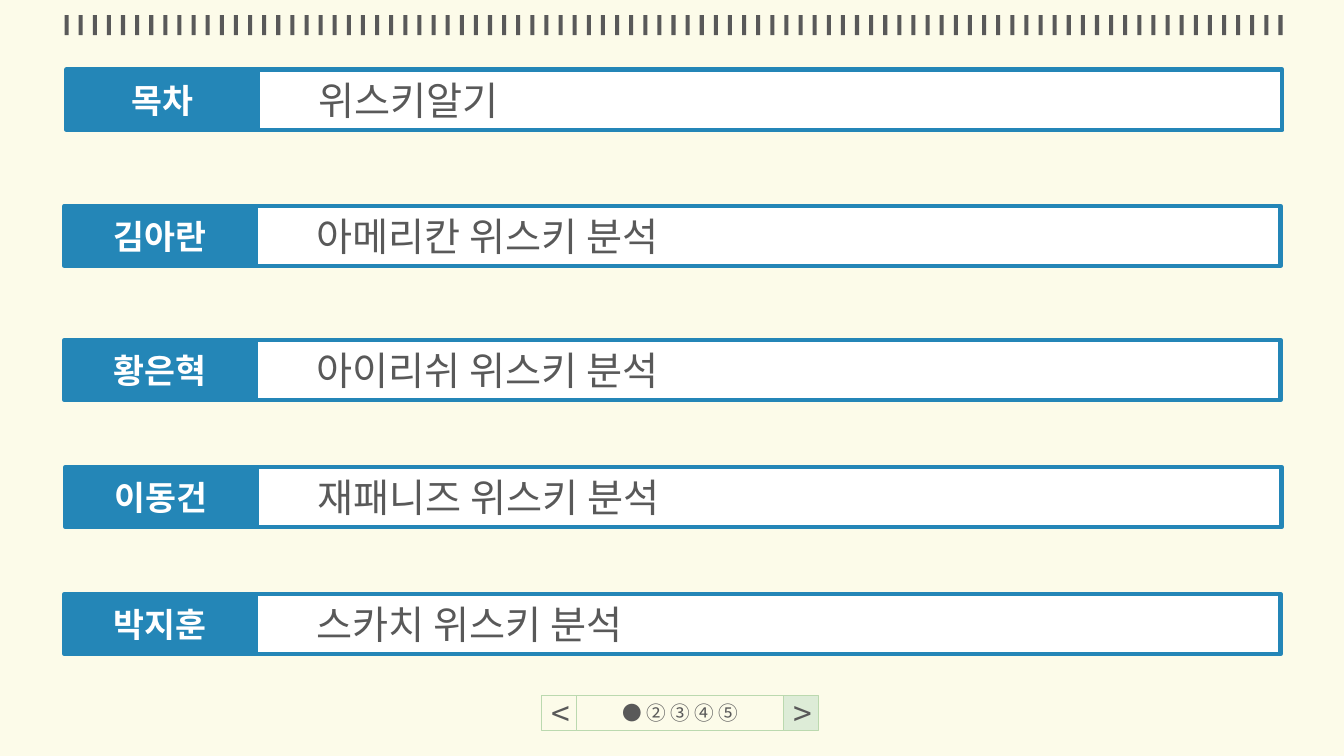
from lxml.etree import SubElement
from pptx import Presentation
from pptx.dml.color import RGBColor
from pptx.enum.shapes import MSO_SHAPE as SHAPE
from pptx.enum.text import MSO_ANCHOR as ANCHOR, PP_ALIGN as ALIGN
from pptx.oxml.ns import qn
from pptx.util import Pt

PX = 9144  # 100 px to the inch
SANS, LATIN = "Noto Sans CJK KR", "Arial"
CREAM, WHITE, GREY = "FCFBE9", "FFFFFF", "595959"
BLUE, MINT, GREEN = "2486B7", "DDECD7", "BBD9AF"

ROW_WIDTH, ROW_HEIGHT, NAME_WIDTH = 1206, 60, 190
CONTENTS = [
    (66, 69, "목차", "위스키알기"),
    (64, 204, "김아란", "아메리칸 위스키 분석"),
    (64, 337, "황은혁", "아이리쉬 위스키 분석"),
    (65, 463, "이동건", "재패니즈 위스키 분석"),
    (64, 589, "박지훈", "스카치 위스키 분석"),
]


def color(hex_code):
    return RGBColor.from_string(hex_code)


def paint(shape, fill, line=None, line_width=0.75):
    shape.shadow.inherit = False
    shape.fill.solid()
    shape.fill.fore_color.rgb = color(fill)
    if line:
        shape.line.color.rgb = color(line)
        shape.line.width = Pt(line_width)
    else:
        shape.line.fill.background()


def write(shape, text, size, ink=GREY, font=SANS, bold=False,
          align=ALIGN.CENTER, indent=0):
    frame = shape.text_frame
    frame.word_wrap = True
    frame.vertical_anchor = ANCHOR.MIDDLE
    paragraph = frame.paragraphs[0]
    paragraph.alignment = align
    if indent:
        paragraph.level = 1
        properties = paragraph._p.get_or_add_pPr()
        properties.set("marL", str(indent * PX))
        properties.set("indent", "0")
    run = paragraph.add_run()
    run.text = text
    run.font.size = Pt(size)
    run.font.bold = bold
    run.font.color.rgb = color(ink)
    run.font.name = font
    SubElement(run._r.get_or_add_rPr(), qn("a:ea"), typeface=SANS)


def add_box(slide, left, top, width, height, fill, line, line_width=0.75):
    box = slide.shapes.add_shape(
        SHAPE.RECTANGLE, left * PX, top * PX, width * PX, height * PX)
    paint(box, fill, line, line_width)
    return box


def add_tick_band(slide, left, top, width, height, tick=4, pitch=14):
    right, bottom = left + width, top + height
    band = slide.shapes.build_freeform(left, top, scale=PX)
    for x in range(left, right, pitch):
        band.move_to(x, top)
        band.add_line_segments(
            [(x + tick, top), (x + tick, bottom), (x, bottom)], close=True)
    paint(band.convert_to_shape(), GREY)


def add_contents_row(slide, left, top, width, height, name, topic):
    name_box = add_box(slide, left, top, NAME_WIDTH, height, BLUE, BLUE, 3)
    write(name_box, name, 24, ink=WHITE, bold=True)
    topic_box = add_box(slide, left + NAME_WIDTH, top, width - NAME_WIDTH,
                        height, WHITE, BLUE, 3)
    write(topic_box, topic, 28, font=LATIN, align=ALIGN.LEFT, indent=50)


def add_pager(slide, left, top, width, height):
    """Square arrow buttons at both ends, page numbers between them."""
    pages_width = width - 2 * height
    parts = [(height, "<", 24, CREAM),
             (pages_width, "● ② ③ ④ ⑤", 14, CREAM),
             (height, ">", 24, MINT)]
    for part_width, text, size, fill in parts:
        part = add_box(slide, left, top, part_width, height, fill, GREEN)
        write(part, text, size)
        left += part_width


def main():
    deck = Presentation()
    deck.slide_width, deck.slide_height = 1333 * PX, 750 * PX
    slide = deck.slides.add_slide(deck.slide_layouts[6])
    slide.background.fill.solid()
    slide.background.fill.fore_color.rgb = color(CREAM)

    add_tick_band(slide, 64, 15, 1208, 20)
    for left, top, name, topic in CONTENTS:
        add_contents_row(slide, left, top, ROW_WIDTH, ROW_HEIGHT, name, topic)
    add_pager(slide, 537, 690, 275, 35)
    deck.save("out.pptx")


if __name__ == "__main__":
    main()
